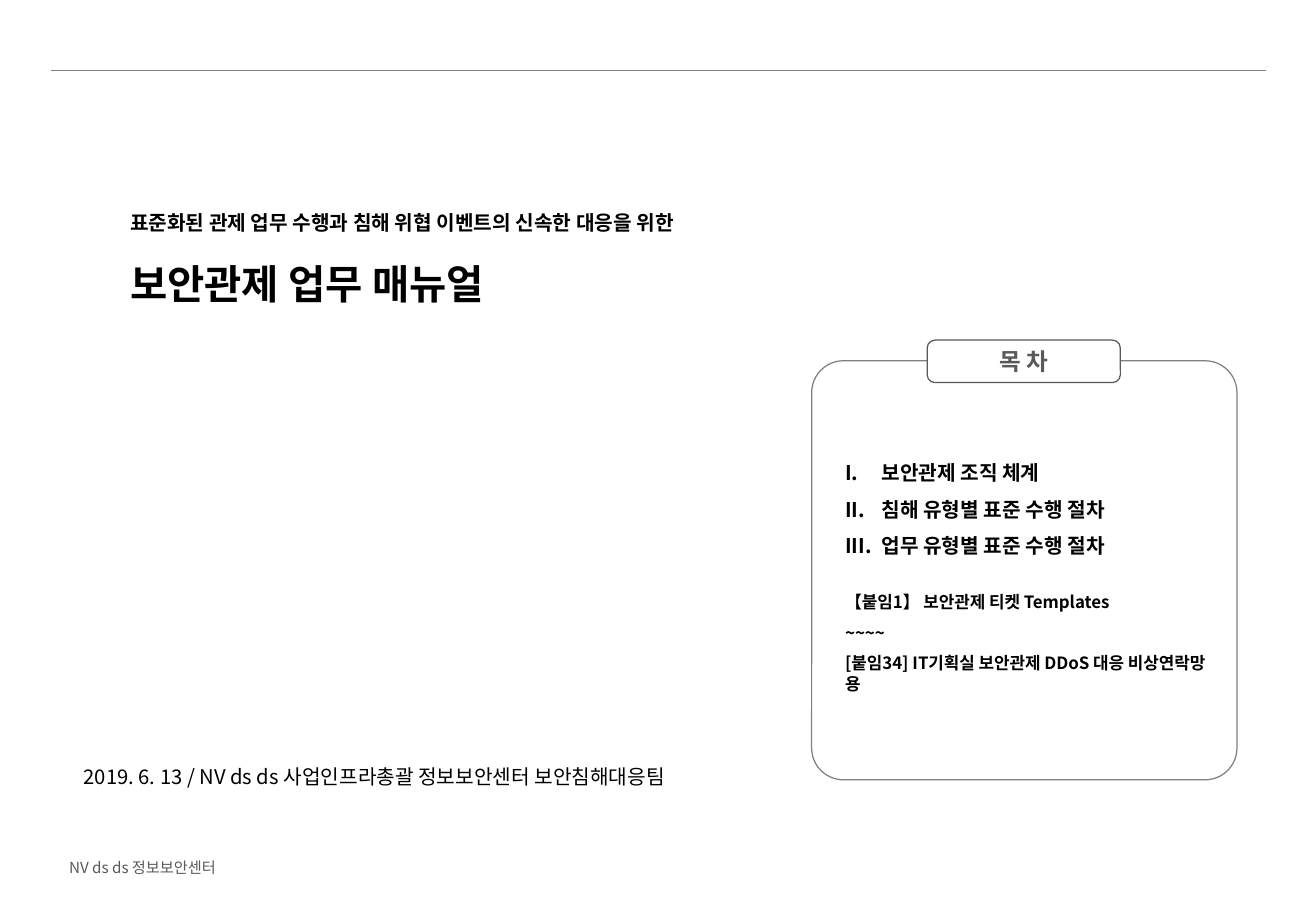
from dataclasses import dataclass

from lxml.etree import SubElement
from pptx import Presentation
from pptx.dml.color import RGBColor
from pptx.enum.shapes import MSO_CONNECTOR, MSO_SHAPE
from pptx.enum.text import MSO_ANCHOR as ANCHOR, MSO_AUTO_SIZE as AUTO, PP_ALIGN as ALIGN
from pptx.oxml.ns import qn
from pptx.shapes.autoshape import Shape
from pptx.slide import Slide
from pptx.text.text import TextFrame, _Paragraph as Paragraph
from pptx.util import Inches, Pt

FONT = "Noto Sans CJK KR"
BLACK = RGBColor(0x00, 0x00, 0x00)
WHITE = RGBColor(0xFF, 0xFF, 0xFF)
GRAY = RGBColor(0x80, 0x80, 0x80)
DARK_GRAY = RGBColor(0x59, 0x59, 0x59)


@dataclass
class Label:
    text: str
    left: float
    top: float
    width: float
    height: float
    size: float
    color: RGBColor


@dataclass
class Entry:
    text: str
    size: float = 10
    before: float = 6
    numbered: bool = False


LABELS = [
    Label("NV ds ds 정보보안센터", 0.47, 7.01, 2.8, 0.26, 9, DARK_GRAY),
    Label("2019. 6. 13 / NV ds ds 사업인프라총괄 정보보안센터 보안침해대응팀",
          0.59, 6.27, 5.14, 0.24, 12, BLACK),
]
ENTRIES = [
    Entry("보안관제 조직 체계", 12, 0, True),
    Entry("침해 유형별 표준 수행 절차", 12, 7.2, True),
    Entry("업무 유형별 표준 수행 절차", 12, 7.2, True),
    Entry("【붙임1】 보안관제 티켓 Templates", before=20.4),
    Entry("~~~~"),
    Entry("[붙임34] IT기획실 보안관제 DDoS 대응 비상연락망 용"),
]


def format_runs(p: Paragraph, sizes: list[float], color: RGBColor, bold: bool) -> None:
    for r, size in zip(p.runs, sizes):
        r.font.size, r.font.bold = Pt(size), bold
        r.font.color.rgb = color
        r.font.name = FONT
        SubElement(r.font._element, qn("a:ea"), typeface=FONT)


def prepare(tf: TextFrame) -> None:
    tf.word_wrap = True
    tf.auto_size = AUTO.NONE
    tf.vertical_anchor = ANCHOR.MIDDLE


def add_label(s: Slide, label: Label) -> None:
    box = s.shapes.add_textbox(Inches(label.left), Inches(label.top),
                               Inches(label.width), Inches(label.height))
    tf = box.text_frame
    prepare(tf)
    tf.text = label.text
    format_runs(tf.paragraphs[0], [label.size], label.color, False)


def add_panel(s: Slide, left: float, top: float, width: float, height: float,
              corner: float, line: RGBColor) -> Shape:
    sp = s.shapes.add_shape(MSO_SHAPE.ROUNDED_RECTANGLE, Inches(left), Inches(top),
                            Inches(width), Inches(height))
    sp.adjustments[0] = corner
    sp.shadow.inherit = False
    sp.line.color.rgb = line
    sp.line.width = Pt(0.75)
    prepare(sp.text_frame)
    return sp


def add_entry(p: Paragraph, entry: Entry) -> None:
    p.text = entry.text
    p.alignment = ALIGN.LEFT
    p.space_before = Pt(entry.before)
    pPr = p._p.get_or_add_pPr()
    pPr.set("marL", str(Inches(0.4 if entry.numbered else 0.1)))
    pPr.set("indent", str(Inches(-0.3 if entry.numbered else 0)))
    if entry.numbered:
        SubElement(pPr, qn("a:buFont"), typeface=FONT)
        SubElement(pPr, qn("a:buAutoNum"), type="romanUcPeriod")
    format_runs(p, [entry.size], BLACK, True)


def main() -> None:
    prs = Presentation()
    prs.slide_width, prs.slide_height = Inches(10.83), Inches(7.5)
    s = prs.slides.add_slide(prs.slide_layouts[0])
    subtitle = s.placeholders[1]._element
    subtitle.getparent().remove(subtitle)

    # Header rule
    rule = s.shapes.add_connector(MSO_CONNECTOR.STRAIGHT, Inches(0.42), Inches(0.58),
                                  Inches(10.42), Inches(0.58))
    rule.line.color.rgb = GRAY
    rule.line.width = Pt(1)
    SubElement(rule._element.spPr, qn("a:effectLst"))

    # Title
    title = s.shapes.title
    title.left, title.top = Inches(0.97), Inches(1.82)
    title.width, title.height = Inches(8.87), Inches(0.52)
    tf = title.text_frame
    prepare(tf)
    tf.text = "표준화된 관제 업무 수행과 침해 위협 이벤트의 신속한 대응을 위한\v보안관제 업무 매뉴얼"
    p = tf.paragraphs[0]
    p.alignment = ALIGN.LEFT
    p.line_spacing = 1.5
    format_runs(p, [12, 24], BLACK, True)

    # Date and footer
    for label in LABELS:
        add_label(s, label)

    # Contents panel
    panel = add_panel(s, 6.68, 2.97, 3.5, 3.45, 0.076, GRAY)
    panel.fill.background()
    tf = panel.text_frame
    tf.margin_top = Inches(0.16)
    for i, entry in enumerate(ENTRIES):
        add_entry(tf.add_paragraph() if i else tf.paragraphs[0], entry)

    # Contents heading
    heading = add_panel(s, 7.63, 2.8, 1.59, 0.35, 0.187, DARK_GRAY)
    heading.fill.solid()
    heading.fill.fore_color.rgb = WHITE
    heading.text_frame.text = "목 차"
    p = heading.text_frame.paragraphs[0]
    p.alignment = ALIGN.CENTER
    format_runs(p, [14], DARK_GRAY, True)

    prs.save("out.pptx")


if __name__ == "__main__":
    main()
